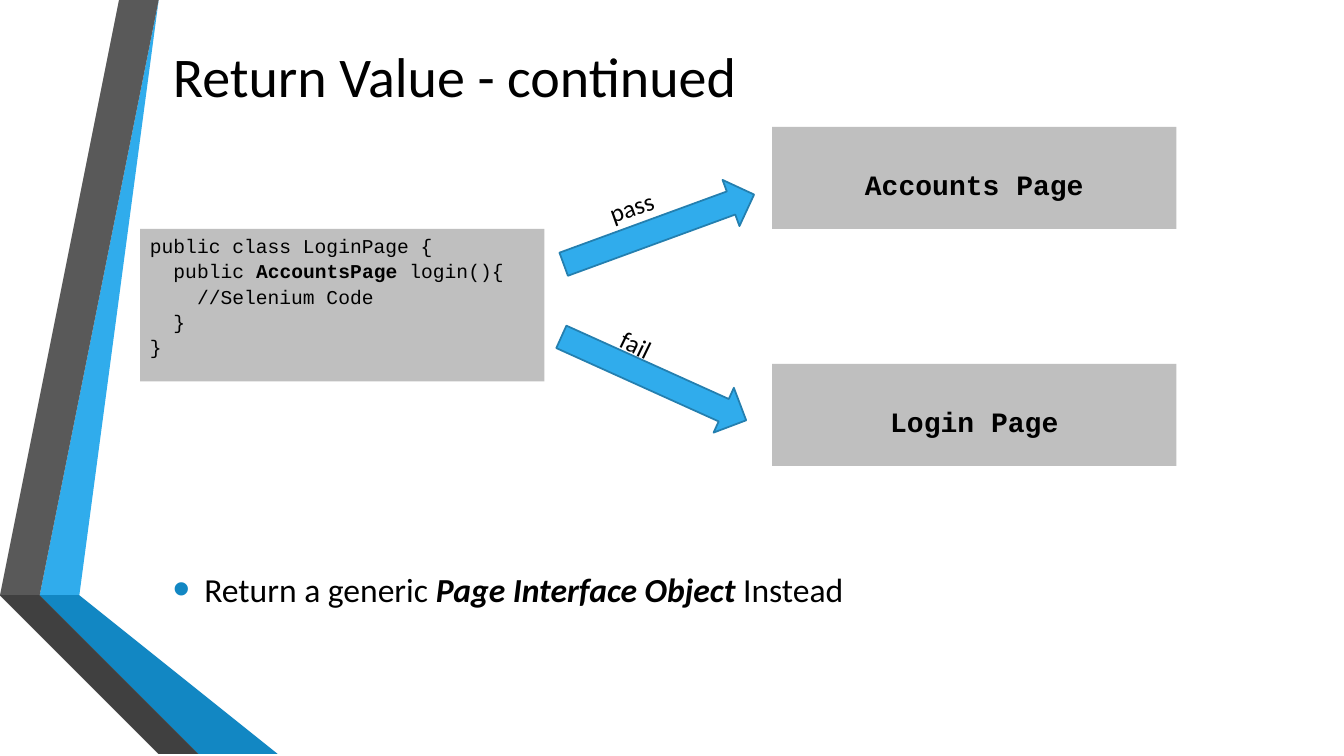
import pptx
import pptx.dml.color
import pptx.enum.shapes
import pptx.enum.text
import pptx.oxml
import pptx.oxml.ns
import pptx.util
from pptx.util import Cm, Pt

RGBColor = pptx.dml.color.RGBColor
MSO_SHAPE = pptx.enum.shapes.MSO_SHAPE
ANCHOR = pptx.enum.text.MSO_ANCHOR
ALIGN = pptx.enum.text.PP_ALIGN

BLACK = RGBColor(0x00, 0x00, 0x00)
BOX_GRAY = RGBColor(0xBF, 0xBF, 0xBF)
BRIGHT_BLUE = RGBColor(0x30, 0xAC, 0xEC)
MID_BLUE = RGBColor(0x12, 0x87, 0xC3)
DEEP_BLUE = RGBColor(0x0C, 0x5A, 0x82)
ARROW_LINE = RGBColor(0x24, 0x7F, 0xAF)
LIGHT_STRIPE = RGBColor(0x59, 0x59, 0x59)
DARK_STRIPE = RGBColor(0x40, 0x40, 0x40)
STRIPE_SHADE = RGBColor(0x26, 0x26, 0x26)

presentation = pptx.Presentation()
presentation.slide_width, presentation.slide_height = Cm(33.87), Cm(19.05)
slide = presentation.slides.add_slide(presentation.slide_layouts[6])
shapes = slide.shapes


def write(paragraph, runs, font_name, size):
    """Fill a paragraph with (text, bold, italic) runs in one font."""
    paragraph.font.name = font_name
    paragraph.font.size = Pt(size)
    paragraph.font.color.rgb = BLACK
    for text, bold, italic in runs:
        run = paragraph.add_run()
        run.text = text
        if bold:
            run.font.bold = True
        if italic:
            run.font.italic = True


def add_box(top, left, height):
    """Add a gray box whose text starts at the top left."""
    box = shapes.add_shape(MSO_SHAPE.RECTANGLE, left, top, Cm(10.19), height)
    box.shadow.inherit = False
    box.fill.solid()
    box.fill.fore_color.rgb = BOX_GRAY
    box.line.fill.background()
    box.text_frame.word_wrap = True
    box.text_frame.vertical_anchor = ANCHOR.TOP
    return box.text_frame


# Folded ribbons on the left, corners in centimetres
ribbons = [
    (BRIGHT_BLUE, [(1.27, 14.68), (1.96, 14.81), (4.39, 0), (3.68, 0)]),
    (LIGHT_STRIPE, [(3.53, 0), (2.82, 0), (0.41, 14.55), (1.12, 14.66)]),
    (STRIPE_SHADE, [(0.41, 14.55), (3.68, 19.05), (3.84, 19.05)]),
    (DEEP_BLUE, [(1.27, 14.7), (5.28, 19.05), (5.44, 19.05)]),
    (MID_BLUE, [(1.27, 14.68), (1.27, 14.7), (5.44, 19.05), (7.19, 19.05),
                (1.96, 14.81)]),
    (DARK_STRIPE, [(5.13, 19.05), (1.22, 14.81), (1.09, 14.68), (1.12, 14.66),
                   (0.41, 14.55), (3.84, 19.05)]),
]
for color, corners in ribbons:
    builder = shapes.build_freeform(*corners[0], scale=Cm(1))
    builder.add_line_segments(corners[1:], close=True)
    ribbon = builder.convert_to_shape()
    ribbon.shadow.inherit = False
    ribbon.fill.solid()
    ribbon.fill.fore_color.rgb = color
    ribbon.line.fill.background()

# Title
title = shapes.add_textbox(Cm(4.11), Cm(0.58), Cm(27.84), Cm(2.62)).text_frame
title.word_wrap = True
title.vertical_anchor = ANCHOR.MIDDLE
write(title.paragraphs[0], [("Return Value - continued", False, False)], "Calibri", 40)

# Bullet
body = shapes.add_textbox(Cm(4.11), Cm(13.59), Cm(27.84), Cm(2.49)).text_frame
body.word_wrap = True
body.vertical_anchor = ANCHOR.MIDDLE
paragraph = body.paragraphs[0]
properties = paragraph._p.get_or_add_pPr()
properties.set("marL", str(Cm(0.79)))
properties.set("indent", str(-Cm(0.79)))
namespace = pptx.oxml.ns.nsdecls("a")
for bullet_part in (
    f'<a:buClr {namespace}><a:srgbClr val="{MID_BLUE}"/></a:buClr>',
    f'<a:buSzPct {namespace} val="145000"/>',
    f'<a:buFont {namespace} typeface="Arial"/>',
    f'<a:buChar {namespace} char="•"/>',
):
    properties.append(pptx.oxml.parse_xml(bullet_part))
write(paragraph, [("Return a generic ", False, False),
                  ("Page Interface Object", True, True),
                  (" Instead", False, False)], "Calibri", 24)

# Code box
code_lines = [
    [("public class LoginPage {", False, False)],
    [("  public ", False, False), ("AccountsPage ", True, False),
     ("login(){", False, False)],
    [("    //Selenium Code", False, False)],
    [("  }", False, False)],
    [("}", False, False)],
]
code = add_box(Cm(5.77), Cm(3.53), Cm(3.84))
for index, runs in enumerate(code_lines):
    paragraph = code.add_paragraph() if index else code.paragraphs[0]
    paragraph.alignment = ALIGN.LEFT
    if index:
        paragraph.space_before = Pt(1.3)
    write(paragraph, runs, "Courier New", 14)

# Result pages
for page, top in (("Accounts Page", 3.2), ("Login Page", 9.17)):
    frame = add_box(Cm(top), Cm(19.46), Cm(2.57))
    frame.margin_top = Cm(1.03)
    frame.paragraphs[0].alignment = ALIGN.CENTER
    write(frame.paragraphs[0], [(page, True, False)], "Courier New", 20)

# Arrows to the result pages
for left, top, angle in ((14.05, 5.16, 339.9), (13.92, 8.92, 24.3)):
    arrow = shapes.add_shape(MSO_SHAPE.RIGHT_ARROW, Cm(left), Cm(top), Cm(5.11), Cm(1.24))
    arrow.rotation = angle
    arrow.shadow.inherit = False
    arrow.fill.solid()
    arrow.fill.fore_color.rgb = BRIGHT_BLUE
    arrow.line.color.rgb = ARROW_LINE
    arrow.line.width = Pt(1.25)

# Arrow labels
for text, left, top, width, angle in (("pass", 15.09, 4.7, 1.68, 340.4),
                                      ("fail", 15.39, 8.18, 1.32, 25.9)):
    label = shapes.add_textbox(Cm(left), Cm(top), Cm(width), Cm(1.02))
    label.rotation = angle
    label.text_frame.word_wrap = False
    label.text_frame.auto_size = pptx.enum.text.MSO_AUTO_SIZE.SHAPE_TO_FIT_TEXT
    write(label.text_frame.paragraphs[0], [(text, False, False)], "Calibri", 18)

presentation.save("out.pptx")
